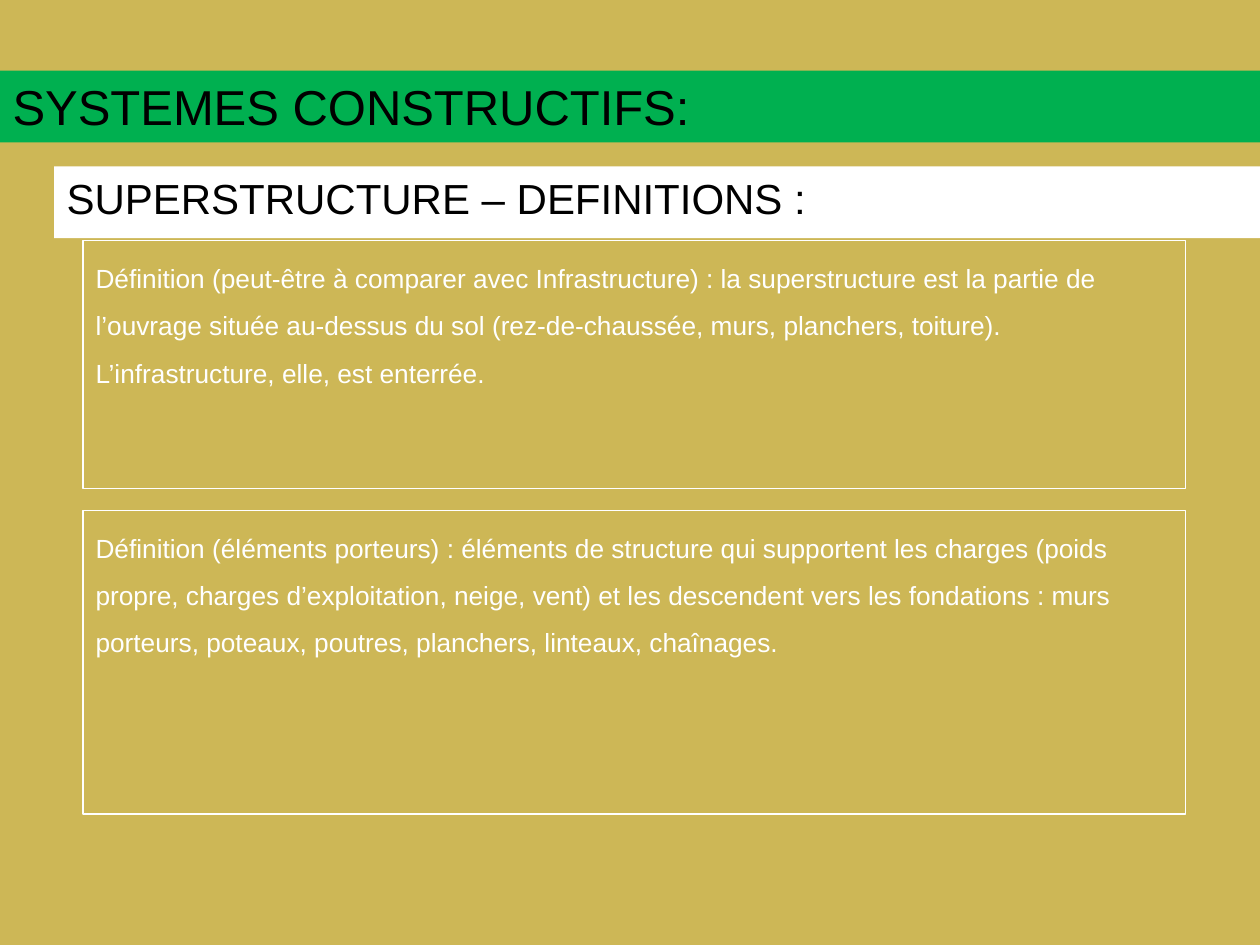
from pptx import Presentation
from pptx.dml.color import RGBColor
from pptx.enum.shapes import MSO_SHAPE as Shape
from pptx.enum.text import MSO_ANCHOR as Anchor, MSO_AUTO_SIZE as AutoSize, PP_ALIGN as Align
from pptx.util import Inches, Pt

SAND = RGBColor(0xCD, 0xB7, 0x56)
GREEN = RGBColor(0x00, 0xB0, 0x50)
WHITE = RGBColor(0xFF, 0xFF, 0xFF)
BLACK = RGBColor(0x00, 0x00, 0x00)

SLIDE_WIDTH = 10
BAND_HEIGHT = 0.57

# Top, height and wording of each framed definition
DEFINITIONS = [
    (1.91, 1.97,
     "Définition (peut-être à comparer avec Infrastructure) : la superstructure "
     "est la partie de l’ouvrage située au-dessus du sol (rez-de-chaussée, murs, "
     "planchers, toiture). L’infrastructure, elle, est enterrée."),
    (4.05, 2.41,
     "Définition (éléments porteurs) : éléments de structure qui supportent les "
     "charges (poids propre, charges d’exploitation, neige, vent) et les descendent "
     "vers les fondations : murs porteurs, poteaux, poutres, planchers, linteaux, "
     "chaînages."),
]


def write_text(box, text, size, color, line_spacing=1.0):
    frame = box.text_frame
    frame.text = text
    frame.word_wrap = True
    frame.auto_size = AutoSize.NONE
    frame.vertical_anchor = Anchor.TOP
    paragraph = frame.paragraphs[0]
    paragraph.alignment = Align.LEFT
    paragraph.line_spacing = line_spacing
    paragraph.font.name = "Arial"
    paragraph.font.size = Pt(size)
    paragraph.font.color.rgb = color


def fill_box(box, color):
    box.fill.solid()
    box.fill.fore_color.rgb = color


def add_box(slide, left, top, width, height):
    box = slide.shapes.add_shape(
        Shape.RECTANGLE, Inches(left), Inches(top), Inches(width), Inches(height))
    box.shadow.inherit = False
    return box


def add_title(slide, text):
    title = slide.shapes.title
    title.left, title.top = Inches(0), Inches(0.56)
    title.width, title.height = Inches(SLIDE_WIDTH), Inches(BAND_HEIGHT)
    fill_box(title, GREEN)
    write_text(title, text, 28, BLACK)


def add_subtitle(slide, text):
    left = 0.43
    band = add_box(slide, left, 1.32, SLIDE_WIDTH - left, BAND_HEIGHT)
    fill_box(band, WHITE)
    band.line.fill.background()
    write_text(band, text, 24, BLACK)


def add_definition(slide, top, height, text):
    frame = add_box(slide, 0.66, top, 8.75, height)
    frame.fill.background()
    frame.line.color.rgb = WHITE
    frame.line.width = Pt(0.75)
    write_text(frame, text, 15, WHITE, line_spacing=1.5)


def main():
    prs = Presentation()
    prs.slide_width, prs.slide_height = Inches(SLIDE_WIDTH), Inches(7.5)
    slide = prs.slides.add_slide(prs.slide_layouts[5])  # title only
    fill_box(slide.background, SAND)

    # Heading bands
    add_title(slide, "SYSTEMES CONSTRUCTIFS:")
    add_subtitle(slide, "SUPERSTRUCTURE – DEFINITIONS :")

    # Framed definitions
    for top, height, text in DEFINITIONS:
        add_definition(slide, top, height, text)

    prs.save("out.pptx")


if __name__ == "__main__":
    main()
